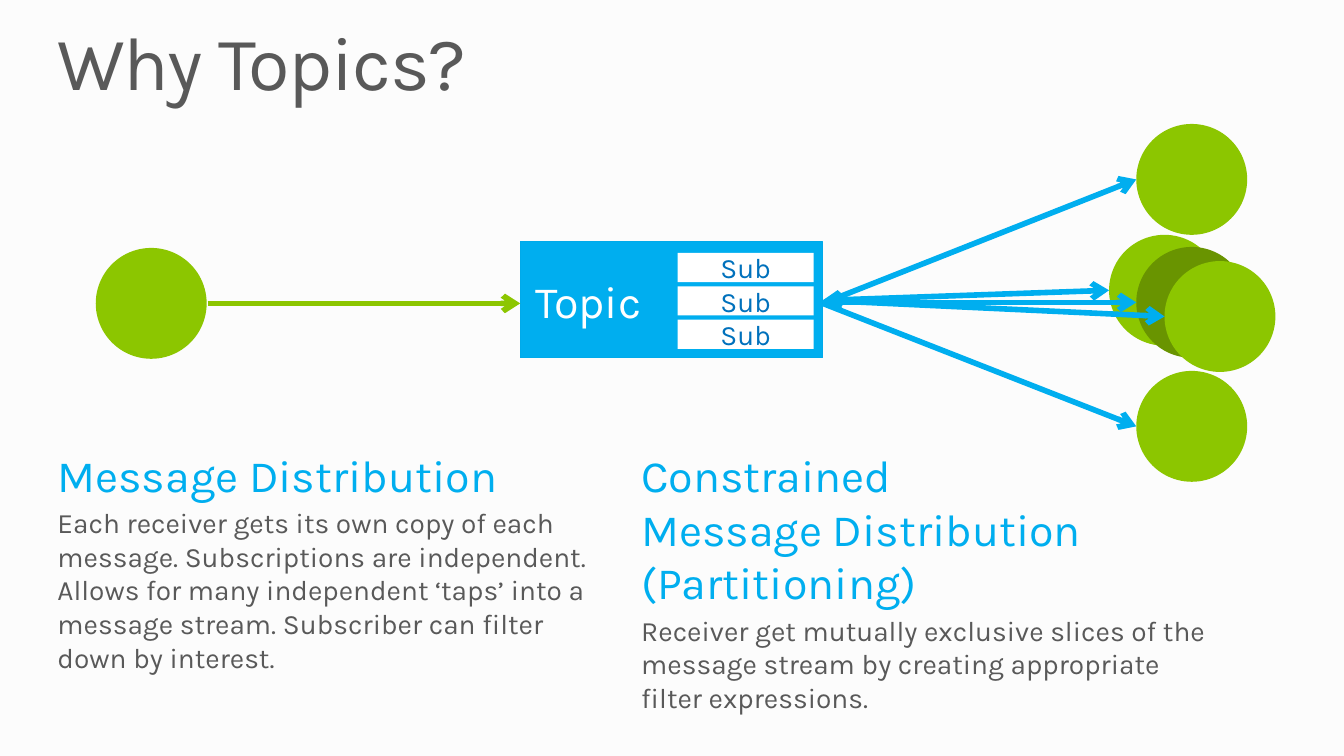
from lxml import etree
from pptx import Presentation
from pptx.dml.color import RGBColor
from pptx.enum.shapes import MSO_CONNECTOR, MSO_SHAPE
from pptx.enum.text import MSO_ANCHOR, PP_ALIGN
from pptx.oxml.ns import qn
from pptx.util import Emu, Pt

STRAIGHT = MSO_CONNECTOR.STRAIGHT
OVAL, RECTANGLE = MSO_SHAPE.OVAL, MSO_SHAPE.RECTANGLE
TOP, MIDDLE = MSO_ANCHOR.TOP, MSO_ANCHOR.MIDDLE
LEFT, CENTER = PP_ALIGN.LEFT, PP_ALIGN.CENTER

EMU_PER_PX = 9144  # 100 px to the inch
GREEN, DARK_GREEN = "8CC600", "699400"
BLUE, DEEP_BLUE, EDGE_BLUE = "00AEEF", "0071BC", "00AAEA"
GRAY, WHITE, PAPER = "595959", "FFFFFF", "FCFCFC"


def px(length):
    return Emu(length * EMU_PER_PX)


def color(code):
    return RGBColor.from_string(code)


class SlideBuilder:
    """Holds the type style and the slide being filled."""

    font_name = "Karla"

    def __init__(self, page):
        self.page = page
        fill = page.background.fill
        fill.solid()
        fill.fore_color.rgb = color(PAPER)

    def frame(self, shape, insets, anchor):
        frame = shape.text_frame
        frame.word_wrap = True
        frame.vertical_anchor = anchor
        (frame.margin_left, frame.margin_top,
         frame.margin_right, frame.margin_bottom) = map(px, insets)
        return frame

    def set_text(self, para, text, size, code, align=LEFT):
        para.text = text
        para.alignment = align
        para.font.name = self.font_name
        para.font.size = Pt(size)
        para.font.color.rgb = color(code)

    def shape(self, kind, left, top, width, height, fill, edge=None):
        shape = self.page.shapes.add_shape(
            kind, px(left), px(top), px(width), px(height))
        shape.shadow.inherit = False
        shape.fill.solid()
        shape.fill.fore_color.rgb = color(fill)
        if edge:
            shape.line.color.rgb = color(edge)
            shape.line.width = Pt(0.75)
        else:
            shape.line.fill.background()
        return shape

    def circle(self, left, top, fill=GREEN):
        self.shape(OVAL, left, top, 110, 110, fill)

    def labelled_box(self, area, fill, text, size, code, align, insets, edge=None):
        box = self.shape(RECTANGLE, *area, fill, edge)
        frame = self.frame(box, insets, MIDDLE)
        self.set_text(frame.paragraphs[0], text, size, code, align)

    def text_box(self, left, top, width, height, insets):
        box = self.page.shapes.add_textbox(
            px(left), px(top), px(width), px(height))
        return self.frame(box, insets, TOP)

    def title(self, text):
        para = self.text_box(57, 25, 1219, 82, (0, 0, 0, 0)).paragraphs[0]
        self.set_text(para, text, 54, GRAY)
        para.line_spacing = 0.9
        para.runs[0]._r.get_or_add_rPr().set("spc", "-100")

    def column(self, left, width, heading, body):
        frame = self.text_box(left, 444, width, 281, (0, 0, 10, 5))
        self.set_text(frame.paragraphs[0], heading, 32, BLUE)
        para = frame.add_paragraph()
        self.set_text(para, body, 20, GRAY)
        para.space_before = Pt(3)

    def arrow(self, start, end, code, both_ways=False):
        arrow = self.page.shapes.add_connector(
            STRAIGHT, *map(px, start), *map(px, end))
        arrow.line.color.rgb = color(code)
        arrow.line.width = Pt(4)
        outline = arrow.line._get_or_add_ln()
        for tag in ("a:headEnd", "a:tailEnd") if both_ways else ("a:tailEnd",):
            etree.SubElement(outline, qn(tag), type="arrow")
        etree.SubElement(arrow._element.spPr, qn("a:effectLst"))


def main():
    deck = Presentation()
    deck.slide_width, deck.slide_height = px(1333), px(750)
    slide = SlideBuilder(deck.slides.add_slide(deck.slide_layouts[6]))
    slide.title("Why Topics?")

    # Sender and receivers
    slide.circle(95, 246)
    slide.circle(1127, 123)
    slide.circle(1100, 233)
    slide.circle(1127, 245, DARK_GREEN)
    slide.circle(1127, 368)
    slide.circle(1155, 259)

    # Topic with its subscriptions
    slide.labelled_box((516, 240, 300, 115), BLUE, "Topic", 32, WHITE, LEFT,
                       (15, 6, 15, 5), EDGE_BLUE)
    for row in range(3):
        slide.labelled_box((672, 251 + 33 * row, 135, 29), WHITE, "Sub", 20,
                           DEEP_BLUE, CENTER, (10, 5, 10, 5))

    # Message flow
    slide.arrow((206, 301), (516, 301), GREEN)
    for start_y, end, both_ways in (
        (301, (1127, 178), False),
        (300, (1127, 300), True),
        (301, (1127, 423), False),
        (298, (1100, 288), True),
        (298, (1155, 314), True),
    ):
        slide.arrow((816, start_y), end, BLUE, both_ways)

    # Explanations
    slide.column(
        57, 550, "Message Distribution",
        "Each receiver gets its own copy of each message. Subscriptions are "
        "independent. Allows for many independent ‘taps’ into a message "
        "stream. Subscriber can filter down by interest.")
    slide.column(
        636, 657, "Constrained\nMessage Distribution (Partitioning)",
        "Receiver get mutually exclusive slices of the\nmessage stream by "
        "creating appropriate\nfilter expressions.")

    deck.save("out.pptx")


if __name__ == "__main__":
    main()
